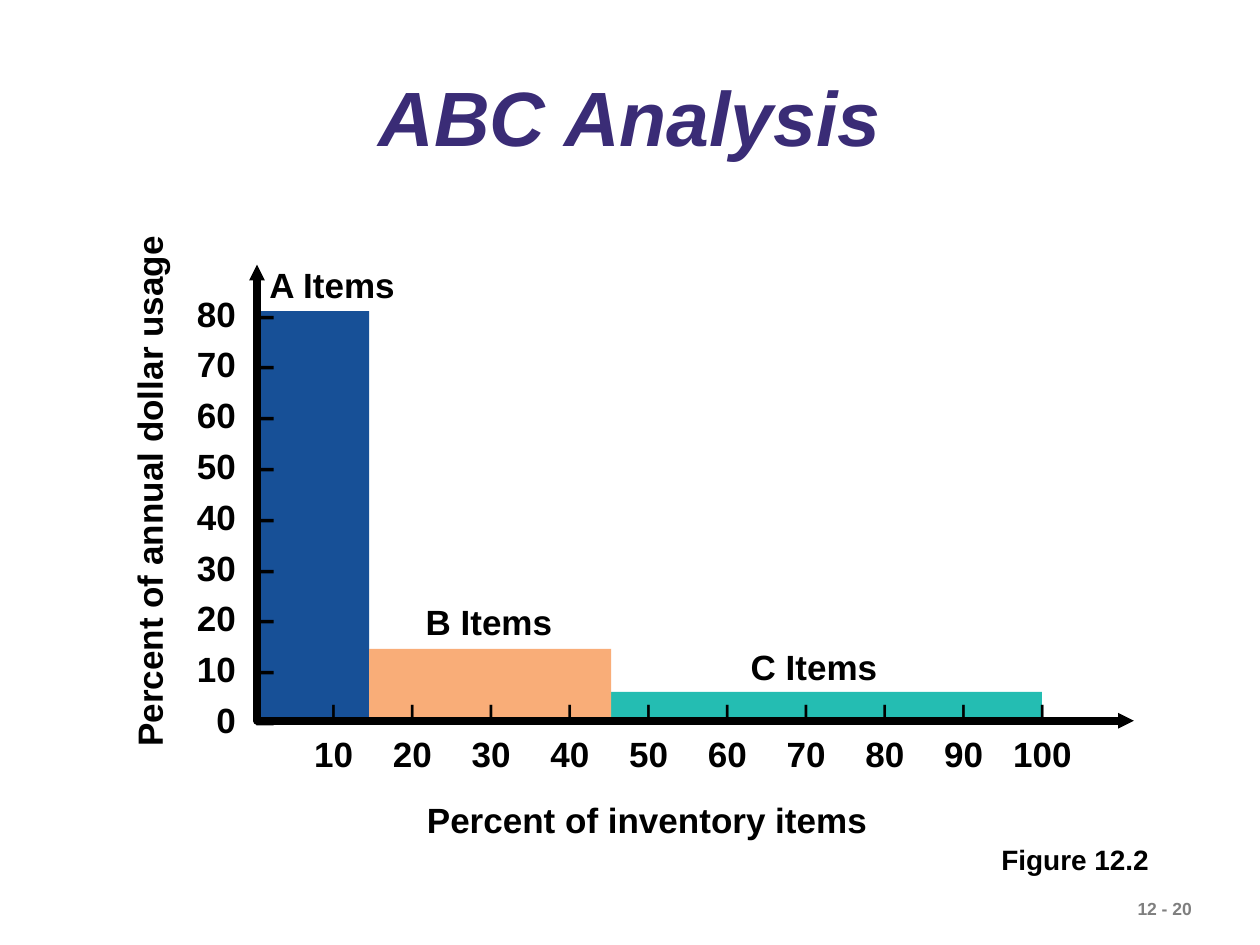
"""Build the ABC Analysis slide."""
from lxml import etree
from pptx import Presentation
from pptx.dml.color import RGBColor
from pptx.enum.shapes import MSO_SHAPE as SHAPE
from pptx.enum.text import MSO_ANCHOR as ANCHOR, MSO_AUTO_SIZE as FIT, PP_ALIGN as ALIGN
from pptx.oxml.ns import qn
from pptx.util import Inches, Pt


def rgb(value):
    return RGBColor.from_string(value)


def add_text(box, lines, size=20, color="000000", align=ALIGN.LEFT, spacing=1.0, tabs=()):
    tb = s.shapes.add_textbox(*map(Inches, box))
    tf = tb.text_frame
    tf.word_wrap = False
    tf.auto_size = FIT.SHAPE_TO_FIT_TEXT
    for i, parts in enumerate(lines):
        p = tf.add_paragraph() if i else tf.paragraphs[0]
        if tabs:
            tab_list = etree.SubElement(p._p.get_or_add_pPr(), qn("a:tabLst"))
            for pos in tabs:
                etree.SubElement(tab_list, qn("a:tab"), pos=str(Inches(pos)), algn="ctr")
        p.alignment = align
        p.line_spacing = spacing
        for part in parts:
            r = p.add_run()
            r.text = part
            r.font.name = "Arial"
            r.font.size = Pt(size)
            r.font.bold = True
            r.font.color.rgb = rgb(color)
    return tb


prs = Presentation()
prs.slide_width, prs.slide_height = Inches(10), Inches(7.5)
s = prs.slides.add_slide(prs.slide_layouts[6])

add_text((8.93, 7.08, 1.0, 0.27), [["12 - 20"]], size=10, color="7F7F7F")

title = add_text((0.75, 0.48, 8.5, 0.97), [["ABC Analysis"]], 44, "3A2C76", ALIGN.CENTER, 0.9)
tf = title.text_frame
tf.auto_size = FIT.NONE
tf.word_wrap = True
tf.vertical_anchor = ANCHOR.MIDDLE
tf.paragraphs[0].runs[0].font.italic = True

base = 5.71
bars = [
    ("C Items", 4.85, 5.49, 3.42, "24BDB2", 5.86, 5.07),
    ("A Items", 2.06, 2.47, 0.87, "175097", 2.04, 2.04),
    ("B Items", 2.93, 5.15, 1.92, "F9AD78", 3.28, 4.72),
]
for name, left, top, width, color, label_left, label_top in bars:
    bar = s.shapes.add_shape(
        SHAPE.RECTANGLE, Inches(left), Inches(top), Inches(width), Inches(base - top))
    bar.shadow.inherit = False
    bar.fill.solid()
    bar.fill.fore_color.rgb = rgb(color)
    bar.line.fill.background()
    add_text((label_left, label_top, 1.4, 0.44), [[name]])

y_title = add_text((-1.04, 3.58, 4.45, 0.44), [["Percent of annual dollar usage"]])
y_title.rotation = 270

path = s.shapes.build_freeform(Inches(2.04), Inches(2.1))
path.add_line_segments(
    [(Inches(2.04), Inches(5.72)), (Inches(9), Inches(5.72))], close=False)
axes = path.convert_to_shape()
axes.shadow.inherit = False
axes.fill.background()
axes.line.color.rgb = rgb("000000")
axes.line.width = Pt(4.5)
ln = axes.line._get_or_add_ln()
etree.SubElement(ln, qn("a:round"))
for tag in ("a:headEnd", "a:tailEnd"):
    etree.SubElement(ln, qn(tag), type="triangle", w="sm", len="sm")

y_labels = add_text((1.46, 2.2, 0.82, 3.73),
                    [[str(n), " ", "–"] for n in range(80, -1, -10)],
                    align=ALIGN.RIGHT, spacing=1.21)
for p in y_labels.text_frame.paragraphs:
    p.runs[1]._r.get_or_add_rPr().set("spc", "556")

steps = range(10, 101, 10)
x_labels = add_text((2.13, 5.46, 6.8, 0.74),
                    [["\t|" for n in steps], [f"\t{n}" for n in steps]],
                    spacing=1.2, tabs=[0.42 + i * 5 / 8 for i in range(len(steps))])
for r in x_labels.text_frame.paragraphs[0].runs:
    r.font.size = Pt(12)

add_text((3.29, 6.29, 3.9, 0.44), [["Percent of inventory items"]])
add_text((7.85, 6.64, 1.5, 0.37), [["Figure 12.2"]], size=16)

prs.save("out.pptx")
